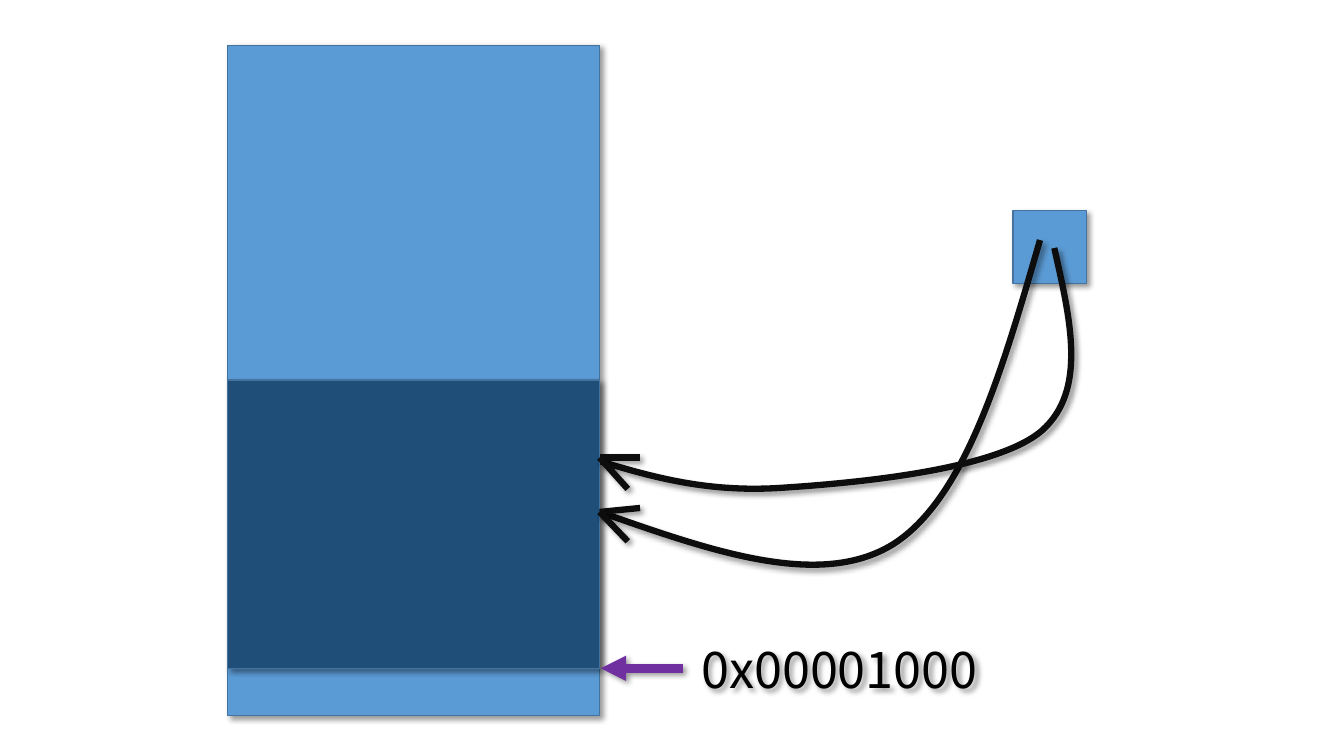
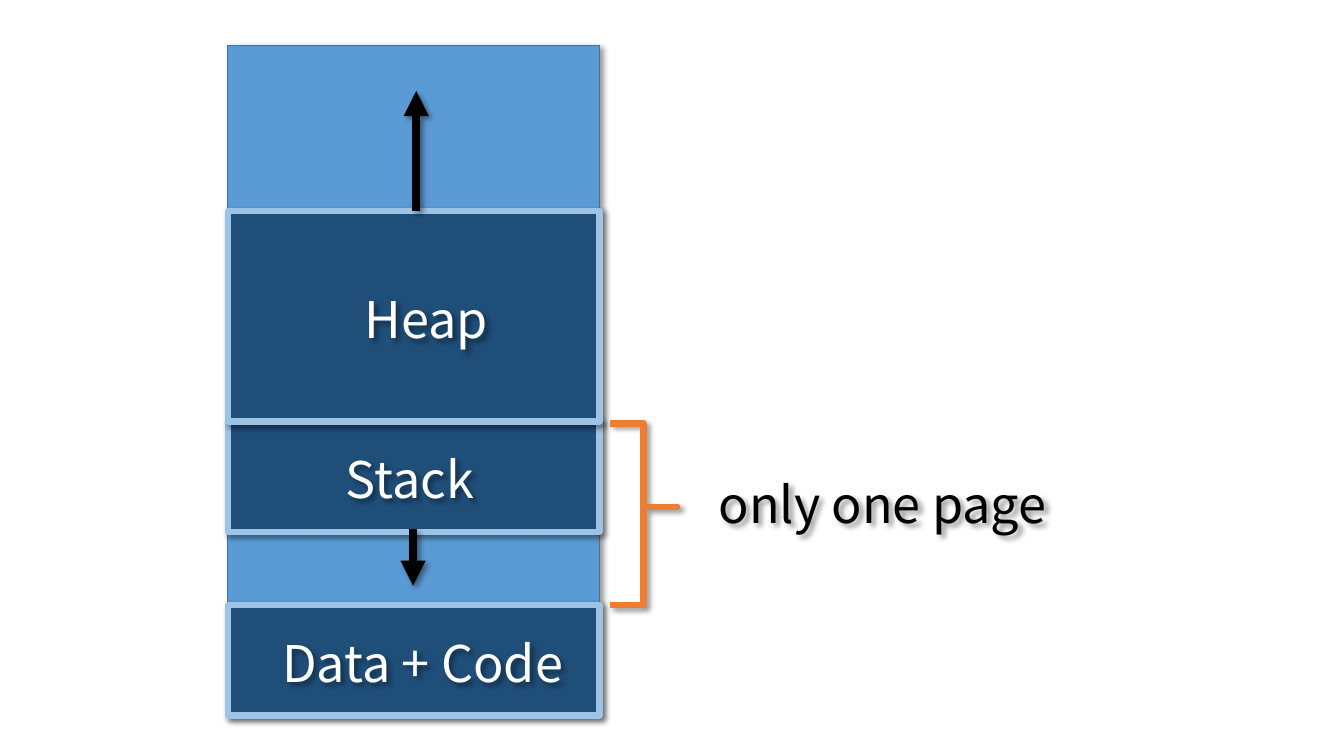
import dataclasses

import pptx
import pptx.dml.color
import pptx.enum.shapes
import pptx.enum.text
import pptx.oxml.ns
import pptx.util
from lxml import etree

Cm = pptx.util.Cm
Pt = pptx.util.Pt
qn = pptx.oxml.ns.qn
Preset = pptx.enum.shapes.MSO_SHAPE


@dataclasses.dataclass(frozen=True)
class Theme:
    font: str = "Noto Sans CJK SC"
    label_size: float = 36
    black: str = "000000"
    white: str = "FFFFFF"
    free: str = "5B9BD5"
    edge: str = "43739E"
    used: str = "1F4E79"
    segment_edge: str = "9DC3E6"
    pointer: str = "0D0D0D"
    address: str = "7030A0"
    brace: str = "ED7D31"
    thin: float = 1
    medium: float = 4.5
    thick: float = 6
    shadow_blur: float = 4
    shadow_distance: float = 3
    shadow_angle: int = 45
    shadow_opacity: int = 40


MEMORY_LEFT, MEMORY_TOP = 5.74, 1.14
MEMORY_WIDTH, MEMORY_HEIGHT = 9.37, 16.89
MEMORY_RIGHT = MEMORY_LEFT + MEMORY_WIDTH


def rgb(colour):
    return pptx.dml.color.RGBColor.from_string(colour)


class Deck:
    def __init__(self, theme):
        self.theme = theme
        self.presentation = pptx.Presentation()
        self.presentation.slide_width = Cm(33.87)
        self.presentation.slide_height = Cm(19.05)
        self.slide = None

    def new_slide(self):
        blank = self.presentation.slide_layouts[6]
        self.slide = self.presentation.slides.add_slide(blank)

    def cast_shadow(self, element):
        theme = self.theme
        properties = element._element.spPr
        for existing in properties.findall(qn("a:effectLst")):
            properties.remove(existing)
        effects = etree.SubElement(properties, qn("a:effectLst"))
        shadow = etree.SubElement(
            effects, qn("a:outerShdw"),
            blurRad=str(Pt(theme.shadow_blur)), dist=str(Pt(theme.shadow_distance)),
            dir=str(theme.shadow_angle * 60000), algn="tl", rotWithShape="0")
        colour = etree.SubElement(shadow, qn("a:srgbClr"), val=theme.black)
        etree.SubElement(colour, qn("a:alpha"), val=str(theme.shadow_opacity * 1000))

    def outline(self, element, colour, width):
        element.line.color.rgb = rgb(colour)
        element.line.width = Pt(width)
        self.cast_shadow(element)

    def box(self, left, top, width, height, fill, edge, edge_width):
        box = self.slide.shapes.add_shape(
            Preset.RECTANGLE, Cm(left), Cm(top), Cm(width), Cm(height))
        box.fill.solid()
        box.fill.fore_color.rgb = rgb(fill)
        self.outline(box, edge, edge_width)

    def block(self, top, height, fill, edge, edge_width):
        self.box(MEMORY_LEFT, top, MEMORY_WIDTH, height, fill, edge, edge_width)

    def memory(self):
        theme = self.theme
        self.block(MEMORY_TOP, MEMORY_HEIGHT, theme.free, theme.edge, theme.thin)

    def segment(self, top, height):
        theme = self.theme
        self.block(top, height, theme.used, theme.segment_edge, theme.medium)

    def line(self, start, end, colour, width, arrow=False):
        line = self.slide.shapes.add_connector(
            pptx.enum.shapes.MSO_CONNECTOR.STRAIGHT,
            Cm(start[0]), Cm(start[1]), Cm(end[0]), Cm(end[1]))
        self.outline(line, colour, width)
        if arrow:
            stroke = line._element.spPr.find(qn("a:ln"))
            etree.SubElement(stroke, qn("a:tailEnd"), type="triangle")

    def curve(self, points, width, height):
        start, *controls = [(Cm(x), Cm(y)) for x, y in points]
        builder = self.slide.shapes.build_freeform(*start)
        builder.add_line_segments(controls, close=False)
        curve = builder.convert_to_shape()
        outline_path = next(curve._element.iter(qn("a:path")))
        corners = outline_path.findall(qn("a:lnTo"))
        for first in range(0, len(corners), 3):
            bezier = etree.SubElement(outline_path, qn("a:cubicBezTo"))
            for corner in corners[first:first + 3]:
                bezier.append(corner[0])
                outline_path.remove(corner)
        curve.width, curve.height = Cm(width), Cm(height)
        outline_path.set("w", str(Cm(width)))
        outline_path.set("h", str(Cm(height)))
        curve.fill.background()
        self.outline(curve, self.theme.pointer, self.theme.medium)

    def brace(self, left, top, width, height, tip):
        brace = self.slide.shapes.add_shape(
            Preset.RIGHT_BRACE, Cm(left), Cm(top), Cm(width), Cm(height))
        brace.adjustments[0] = 0
        brace.adjustments[1] = tip
        brace.fill.background()
        self.outline(brace, self.theme.brace, self.theme.medium)

    def label(self, text, left, top, width, colour):
        label = self.slide.shapes.add_textbox(Cm(left), Cm(top), Cm(width), Cm(1.8))
        frame = label.text_frame
        frame.word_wrap = True
        frame.auto_size = pptx.enum.text.MSO_AUTO_SIZE.SHAPE_TO_FIT_TEXT
        frame.text = text
        font = frame.paragraphs[0].runs[0].font
        font.name = self.theme.font
        font.size = Pt(self.theme.label_size)
        font.color.rgb = rgb(colour)
        self.cast_shadow(label)


def pointer_slide(deck):
    theme = deck.theme
    deck.new_slide()
    deck.box(25.53, 5.31, 1.85, 1.83, theme.free, theme.edge, theme.thin)
    deck.memory()
    page_top, page_height = 9.58, 7.26
    page_bottom = page_top + page_height
    deck.block(page_top, page_height, theme.used, theme.edge, theme.thin)
    deck.line((17.2, page_bottom), (15.14, page_bottom),
              theme.address, theme.thick, arrow=True)

    deck.curve([(26.21, 6.05),
                (25.27, 9.3), (24.33, 12.57), (22.5, 13.72),
                (20.65, 14.86), (17.88, 13.87), (15.11, 12.9)], 11.1, 8.18)
    deck.curve([(26.57, 6.25),
                (26.97, 8.03), (27.41, 9.83), (26.26, 10.85),
                (25.12, 11.84), (21.59, 12.17), (19.74, 12.29),
                (17.88, 12.42), (16.51, 12.04), (15.14, 11.63)], 11.86, 6.07)
    for tip, barbs in [(12.9, [(16.13, 12.8), (15.82, 13.64)]),
                       (11.53, [(16.13, 11.53), (15.82, 12.32)])]:
        for barb in barbs:
            deck.line((MEMORY_RIGHT, tip), barb, theme.pointer, theme.medium)
    deck.label("0x00001000", 17.42, 15.95, 9.55, theme.black)


def layout_slide(deck):
    theme = deck.theme
    deck.new_slide()
    deck.memory()
    heap_top, stack_top, code_top = 5.31, 10.62, 15.24
    small_height = 2.79
    deck.segment(code_top, small_height)
    deck.segment(stack_top, small_height)
    deck.segment(heap_top, stack_top - heap_top)
    for text, left, top, width in [("Heap", 8.94, 7.14, 4.11),
                                   ("Stack", 8.46, 11.18, 3.94),
                                   ("Data + Code", 6.86, 15.8, 9.55)]:
        deck.label(text, left, top, width, theme.white)
    for x, start, end in [(10.49, heap_top, 2.29), (10.41, 13.34, 14.76)]:
        deck.line((x, start), (x, end), theme.black, theme.thick, arrow=True)
    deck.label("only one page", 17.86, 11.79, 9.55, theme.black)
    deck.brace(15.37, 10.67, 1.7, 4.57, 0.46)


def main():
    deck = Deck(Theme())
    pointer_slide(deck)
    layout_slide(deck)
    deck.presentation.save("out.pptx")


if __name__ == "__main__":
    main()
